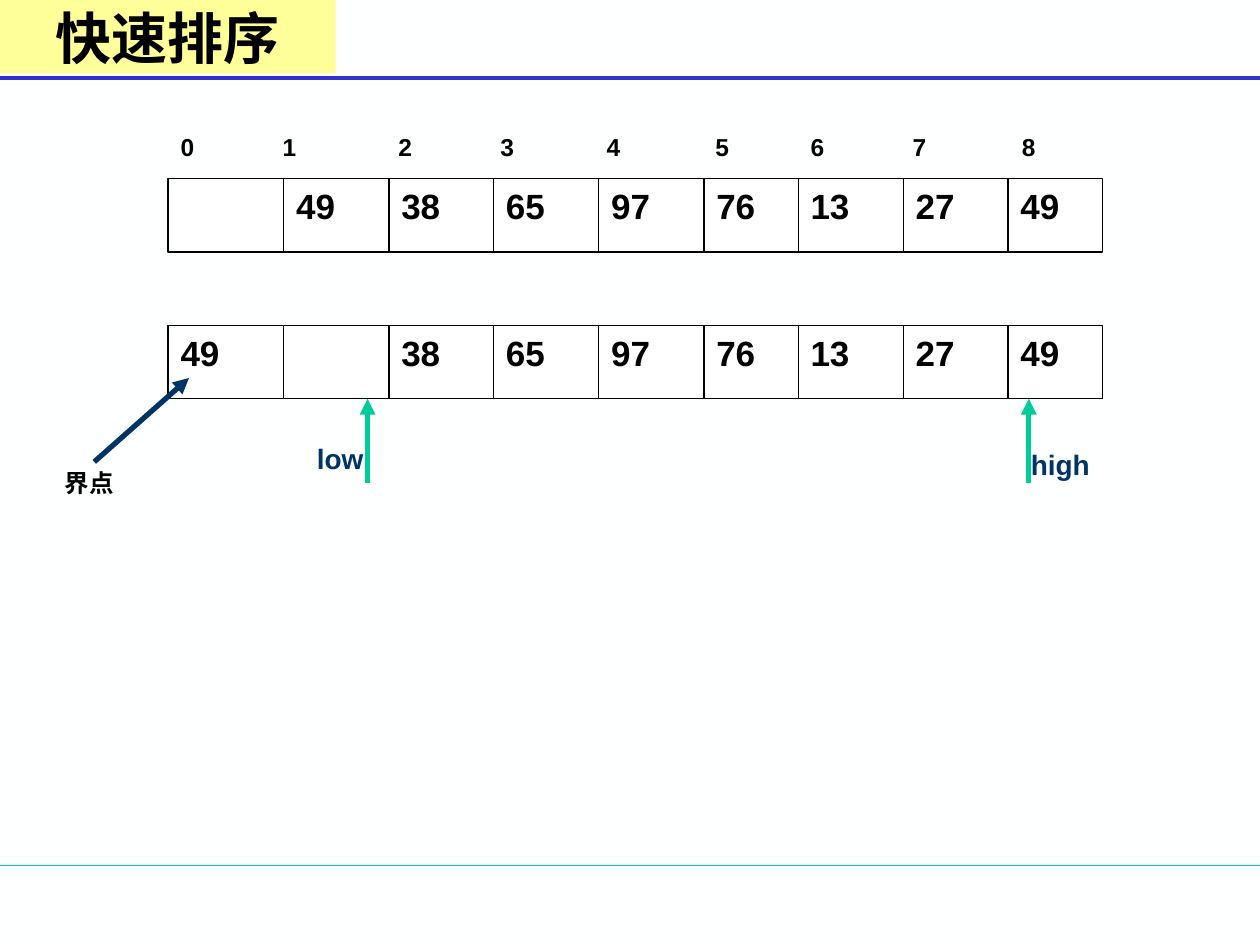
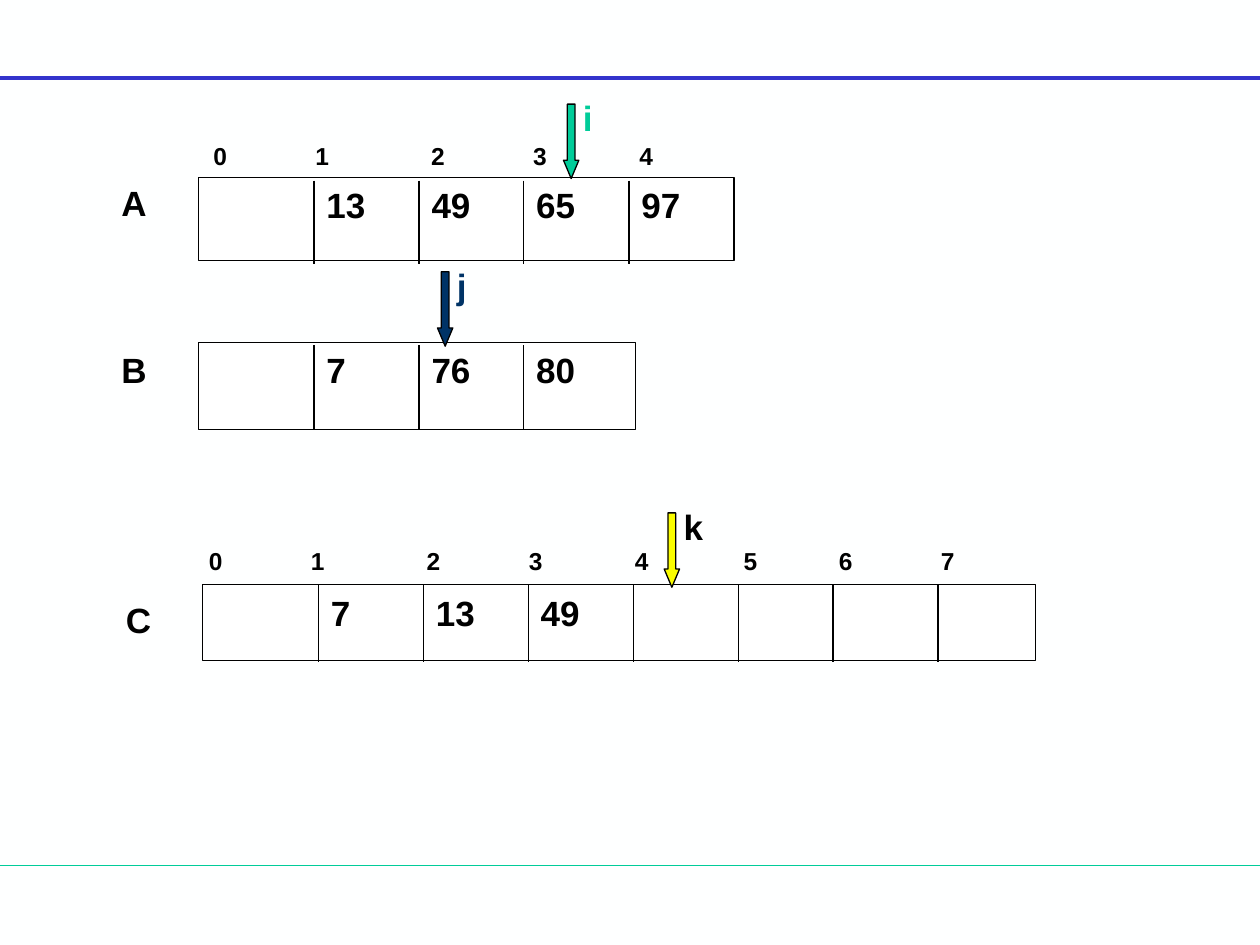
from lxml.etree import SubElement
from pptx import Presentation
from pptx.dml.color import RGBColor
from pptx.enum.shapes import MSO_CONNECTOR, MSO_SHAPE
from pptx.enum.text import MSO_ANCHOR, MSO_AUTO_SIZE, PP_ALIGN
from pptx.oxml.ns import qn
from pptx.util import Cm, Pt

COLORS = {
    "background": "FEFFFF", "cell": "FFFFFF", "ink": "000000",
    "rule": "3333CC", "green": "00CC99", "navy": "003366",
    "yellow": "FAFD00", "title": "FFFF99",
}
SLIDE_WIDTH, SLIDE_HEIGHT = 25.4, 19.05
RULES = [(17.45, "green", 0.75), (1.57, "rule", 2.25)]
CELL_STARTS = [0, 2.33, 4.45, 6.56, 8.68, 10.8, 12.7, 14.82, 16.93]
INDEX_TABS = [2.06, 4.39, 6.45, 8.59, 10.78, 12.7, 14.76, 16.96]

SLIDES = [
    {
        "title": "快速排序",
        "arrays": [
            {"values": ["", "49", "38", "65", "97", "76", "13", "27", "49"],
             "box": (3.39, 3.6, 18.84, 1.48), "divider": (0, 1.48),
             "index": (0, -1.06)},
            {"values": ["49", "", "38", "65", "97", "76", "13", "27", "49"],
             "box": (3.39, 6.56, 18.84, 1.48), "divider": (0, 1.48)},
        ],
        "arrows": [
            ((7.41, 9.74), (7.41, 8.04), "green"),
            ((20.74, 9.74), (20.74, 8.04), "green"),
            ((1.9, 9.31), (3.81, 7.62), "navy"),
        ],
        "labels": [
            ("low", 6.14, 8.78, 2.33, 16, "navy"),
            ("high", 20.53, 8.89, 2.33, 16, "navy"),
            ("界点", 1.06, 9.31, 2.12, 14, "ink"),
        ],
    },
    {
        "arrays": [
            {"name": "A", "name_drop": -0.05,
             "values": ["", "13", "49", "65", "97"],
             "box": (4, 3.58, 10.8, 1.68), "divider": (0.06, 1.68),
             "index": (0.05, -0.86)},
            {"name": "B", "name_drop": 0,
             "values": ["", "7", "76", "80"],
             "box": (4, 6.91, 8.81, 1.75), "divider": (0.05, 1.68)},
            {"name": "C", "name_drop": 0.15,
             "values": ["", "7", "13", "49", "", "", "", ""],
             "box": (4.09, 11.79, 16.79, 1.52), "divider": (0, 1.55),
             "index": (-0.13, -0.91)},
        ],
        "pointers": [
            ("i", 11.36, 2.1, "green", "green"),
            ("j", 8.82, 5.48, "navy", "navy"),
            ("k", 13.39, 10.34, "yellow", "ink"),
        ],
    },
]


def color(name):
    return RGBColor.from_string(COLORS[name])


def format_runs(paragraph, size, ink="ink", font="Arial"):
    for run in paragraph.runs:
        run.font.name = font
        run.font.size = Pt(size)
        run.font.bold = True
        run.font.color.rgb = color(ink)


def add_text(slide, text, left, top, width, size=20, ink="ink"):
    height = 0.25 + 0.0436 * size
    box = slide.shapes.add_textbox(Cm(left), Cm(top), Cm(width), Cm(height))
    text_frame = box.text_frame
    text_frame.word_wrap = True
    text_frame.auto_size = MSO_AUTO_SIZE.SHAPE_TO_FIT_TEXT
    text_frame.text = text
    format_runs(text_frame.paragraphs[0], size, ink)
    return text_frame.paragraphs[0]


def add_line(slide, start, end, ink="ink", width=0.75, arrow=False):
    line = slide.shapes.add_connector(
        MSO_CONNECTOR.STRAIGHT, *(Cm(value) for value in (*start, *end)))
    line.line.color.rgb = color(ink)
    line.line.width = Pt(width)
    if arrow:
        SubElement(line.line._get_or_add_ln(), qn("a:tailEnd"), type="triangle")
    SubElement(line._element.spPr, qn("a:effectLst"))


def add_box(slide, preset, left, top, width, height, fill, outlined=True):
    shape = slide.shapes.add_shape(
        preset, Cm(left), Cm(top), Cm(width), Cm(height))
    shape.shadow.inherit = False
    shape.fill.solid()
    shape.fill.fore_color.rgb = color(fill)
    if outlined:
        shape.line.color.rgb = color("ink")
        shape.line.width = Pt(0.75)
    else:
        shape.line.fill.background()
    return shape


def add_index(slide, count, left, top, width):
    paragraph = add_text(slide, "\t".join(map(str, range(count))),
                         left, top, width, 14)
    tab_list = SubElement(paragraph._p.get_or_add_pPr(), qn("a:tabLst"))
    for position in INDEX_TABS[:count - 1]:
        SubElement(tab_list, qn("a:tab"), pos=str(int(Cm(position))), algn="l")


def add_array(slide, array):
    left, top, width, height = array["box"]
    drop, length = array["divider"]
    add_box(slide, MSO_SHAPE.RECTANGLE, left, top, width, height, "cell")
    for start, value in zip(CELL_STARTS, array["values"]):
        x = left + start
        if start:
            add_line(slide, (x, top + drop), (x, top + drop + length))
        if value:
            add_text(slide, value, x, top, 1.7)
    if "index" in array:
        shift, lift = array["index"]
        add_index(slide, len(array["values"]), left + shift, top + lift, width)
    if "name" in array:
        add_text(slide, array["name"], left - 1.8, top + array["name_drop"], 1.7)


def add_pointer(slide, name, left, top, fill, ink):
    arrow = add_box(slide, MSO_SHAPE.DOWN_ARROW, left, top, 0.31, 1.5, fill)
    arrow.adjustments[0] = 0.5
    arrow.adjustments[1] = 1.19
    add_text(slide, name, left + 0.14, top - 0.28, 1.35, ink=ink)


def add_title(slide, title):
    shape = add_box(slide, MSO_SHAPE.RECTANGLE, 0, 0, 6.77, 1.48, "title", False)
    shape.text_frame.text = title
    shape.text_frame.vertical_anchor = MSO_ANCHOR.MIDDLE
    paragraph = shape.text_frame.paragraphs[0]
    paragraph.alignment = PP_ALIGN.CENTER
    format_runs(paragraph, 32, font="Times New Roman")


def build_slide(presentation, content):
    slide = presentation.slides.add_slide(presentation.slide_layouts[6])
    slide.background.fill.solid()
    slide.background.fill.fore_color.rgb = color("background")
    for y, ink, width in RULES:
        add_line(slide, (0, y), (SLIDE_WIDTH, y), ink, width)
    for array in content["arrays"]:
        add_array(slide, array)
    for start, end, ink in content.get("arrows", []):
        add_line(slide, start, end, ink, 3, arrow=True)
    for label in content.get("labels", []):
        add_text(slide, *label)
    for pointer in content.get("pointers", []):
        add_pointer(slide, *pointer)
    if "title" in content:
        add_title(slide, content["title"])


def main():
    presentation = Presentation()
    presentation.slide_width = Cm(SLIDE_WIDTH)
    presentation.slide_height = Cm(SLIDE_HEIGHT)
    for content in SLIDES:
        build_slide(presentation, content)
    presentation.save("out.pptx")


if __name__ == "__main__":
    main()
